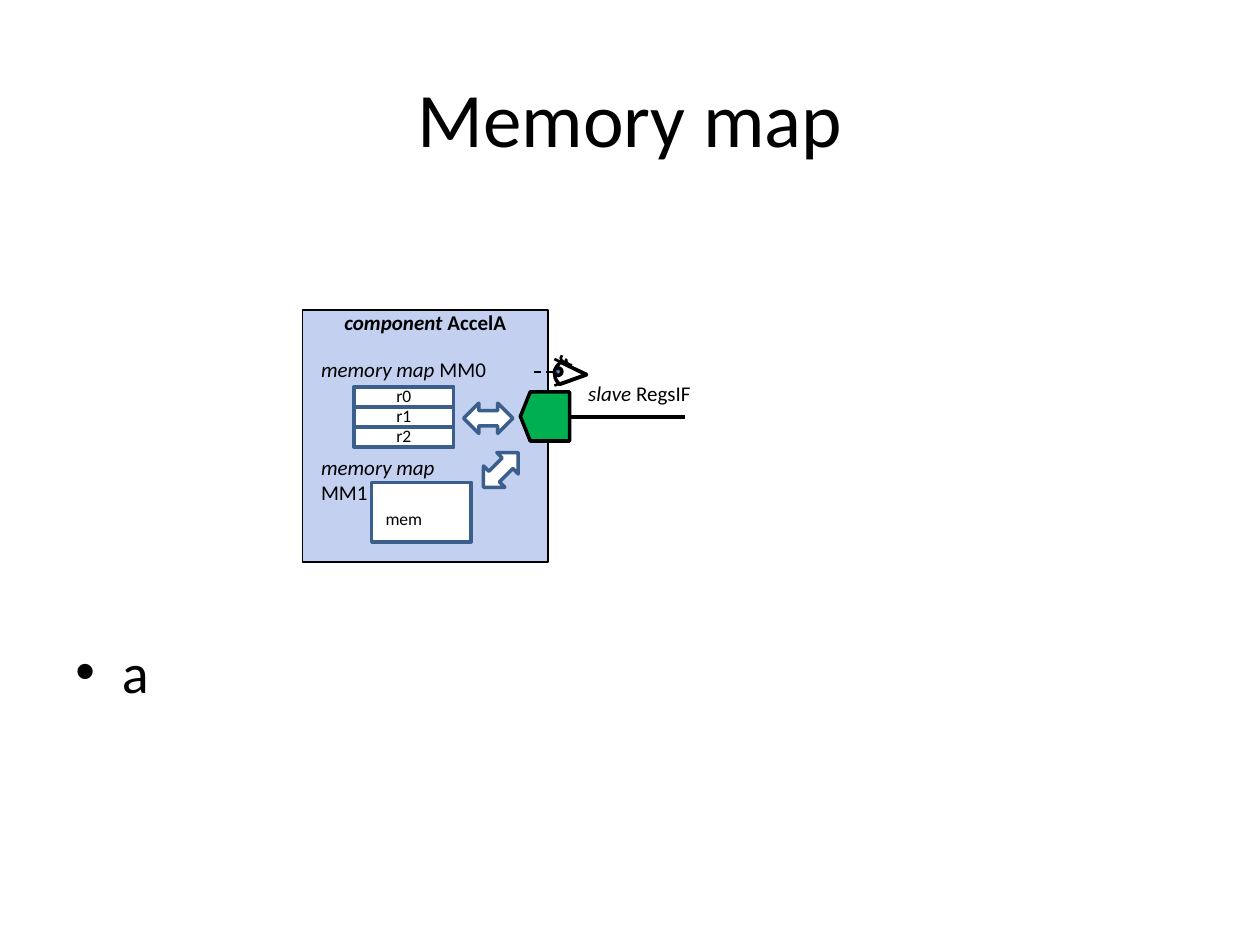
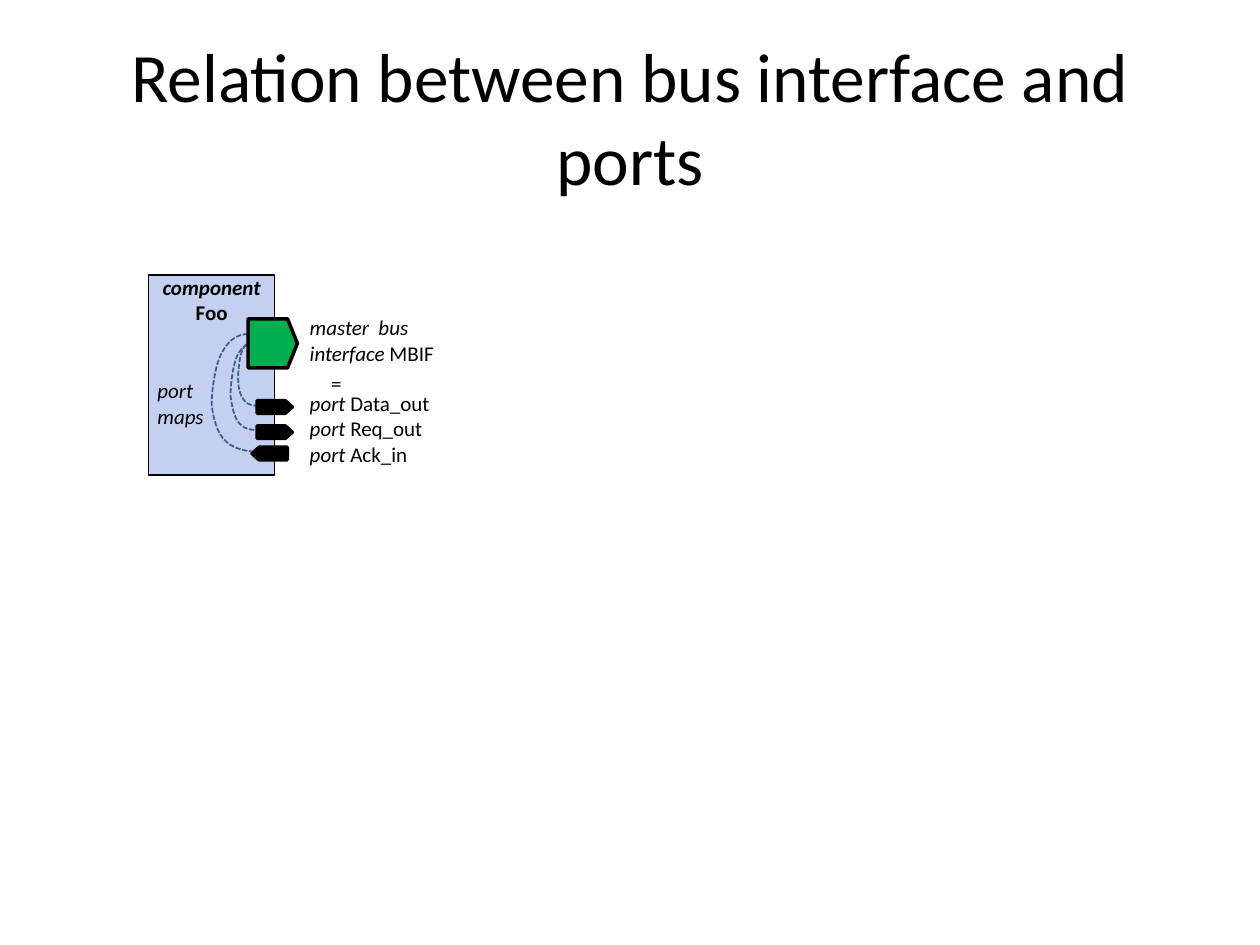
from lxml.etree import SubElement
from pptx import Presentation
from pptx.dml.color import RGBColor
from pptx.enum.dml import MSO_LINE
from pptx.enum.shapes import MSO_CONNECTOR, MSO_SHAPE
from pptx.enum.text import MSO_ANCHOR, PP_ALIGN
from pptx.oxml.ns import qn
from pptx.util import Inches, Pt

BLACK = RGBColor(0x00, 0x00, 0x00)
WHITE = RGBColor(0xFF, 0xFF, 0xFF)
COMPONENT_BLUE = RGBColor(0xC3, 0xD0, 0xF0)
OUTLINE_BLUE = RGBColor(0x3A, 0x5F, 0x8C)
PUPIL_BLUE = RGBColor(0x4F, 0x81, 0xBD)
BUS_GREEN = RGBColor(0x00, 0xB0, 0x50)
FONT = "Calibri"
SLIDE_WIDTH, SLIDE_HEIGHT = 10, 7.5
MARGIN = 0.05 * SLIDE_WIDTH
CONTENT_WIDTH = SLIDE_WIDTH - 2 * MARGIN
TEXT_INSETS = (0.1, 0.05, 0.1, 0.05)
BUS_SIZE = 0.39
PORT_WIDTH, PORT_LENGTH = 0.1, 0.28
POINTS_LEFT, POINTS_RIGHT = 90, 270

# A paragraph is a list of (text, style) runs; "i" is italic, "b" is bold.
REGISTERS = ["r0", "r1", "r2"]
REGISTER_LEFT, REGISTER_TOP = 2.81, 3.07
REGISTER_WIDTH, REGISTER_HEIGHT = 0.79, 0.16
MAP_LABELS = [
    ((2.45, 2.78, 1.54, 0.3), [("memory map", "i"), (" MM0", "")]),
    ((2.45, 3.56, 1.23, 0.51), [("memory map", "i"), (" MM1", "")]),
    ((4.57, 2.97, 1.1, 0.3), [("slave ", "i"), ("RegsIF", "")]),
]
ACCESS_ARROWS = [((3.68, 3.2, 0.39, 0.24), 0), ((3.78, 3.61, 0.39, 0.24), 315)]
EYELIDS = [((4.66, 2.97), (4.4, 2.85)), ((4.65, 2.97), (4.4, 3.06))]
# A curve is a start point followed by control points, three per Bézier segment.
EYELASHES = [
    [(4.49, 2.88), (4.48, 2.88), (4.48, 2.87), (4.47, 2.87),
     (4.46, 2.87), (4.45, 2.85), (4.45, 2.84), (4.46, 2.83), (4.45, 2.84), (4.46, 2.82)],
    [(4.54, 2.9), (4.53, 2.9), (4.52, 2.9), (4.51, 2.89),
     (4.51, 2.89), (4.49, 2.87), (4.49, 2.86), (4.5, 2.85), (4.5, 2.86), (4.5, 2.85)],
]

INTERFACE_LINES = [
    [("master  bus interface", "i"), (" MBIF", "")],
    *[[("port ", "i"), (name, "")] for name in ("Data_out", "Req_out", "Ack_in")],
]
PORTS = [(2.13, 3.09, POINTS_RIGHT), (2.13, 3.29, POINTS_RIGHT), (2.09, 3.46, POINTS_LEFT)]
PORT_MAPS = [
    [(2.07, 3.6), (2.02, 3.57), (1.9, 3.6), (1.79, 3.5), (1.73, 3.45), (1.69, 3.32), (1.68, 3.21),
     (1.68, 3.09), (1.71, 2.89), (1.76, 2.8), (1.81, 2.71), (1.87, 2.65), (1.98, 2.65)],
    [(2.07, 3.43), (2.04, 3.4), (1.96, 3.43), (1.9, 3.36), (1.86, 3.32), (1.84, 3.22), (1.83, 3.14),
     (1.83, 3.05), (1.85, 2.9), (1.88, 2.83), (1.91, 2.77), (1.95, 2.72), (2.01, 2.73)],
    [(2.05, 3.23), (2.03, 3.21), (1.98, 3.23), (1.94, 3.18), (1.91, 3.15), (1.89, 3.08), (1.89, 3.01),
     (1.89, 2.95), (1.9, 2.84), (1.92, 2.79), (1.94, 2.74), (1.97, 2.7), (2.01, 2.71)],
]


def write(shape, paragraphs, size=12, align=PP_ALIGN.LEFT, anchor=MSO_ANCHOR.TOP, insets=TEXT_INSETS):
    frame = shape.text_frame
    frame.word_wrap = True
    frame.vertical_anchor = anchor
    frame.margin_left, frame.margin_top, frame.margin_right, frame.margin_bottom = map(Inches, insets)
    for index, runs in enumerate(paragraphs):
        paragraph = frame.add_paragraph() if index else frame.paragraphs[0]
        paragraph.alignment = align
        for text, style in runs:
            run = paragraph.add_run()
            run.text = text
            run.font.name, run.font.size = FONT, Pt(size)
            run.font.color.rgb = BLACK
            run.font.bold, run.font.italic = "b" in style, "i" in style
    return frame


def add_text(slide, box, paragraphs, **options):
    return write(slide.shapes.add_textbox(*map(Inches, box)), paragraphs, **options)


def add_box(slide, kind, box, fill, line=BLACK, width=2, rotation=0):
    shape = slide.shapes.add_shape(kind, *map(Inches, box))
    shape.shadow.inherit = False
    shape.fill.solid()
    shape.fill.fore_color.rgb = fill
    shape.line.color.rgb = line
    shape.line.width = Pt(width)
    shape.rotation = rotation
    return shape


def add_line(slide, start, end, width, dash=None):
    connector = slide.shapes.add_connector(MSO_CONNECTOR.STRAIGHT, *map(Inches, start + end))
    connector.line.color.rgb = BLACK
    connector.line.width = Pt(width)
    connector.line.dash_style = dash
    SubElement(connector._element.spPr, qn("a:effectLst"))


def add_curve(slide, curve, color, width, dash=None):
    """Draw the control points as a polyline, then turn each three segments into one Bézier."""
    start, *controls = [(Inches(x), Inches(y)) for x, y in curve]
    builder = slide.shapes.build_freeform(*start)
    builder.add_line_segments(controls, close=False)
    shape = builder.convert_to_shape()
    outline = next(shape._element.iter(qn("a:path")))
    segments = outline.findall(qn("a:lnTo"))
    for first in range(0, len(segments), 3):
        bezier = SubElement(outline, qn("a:cubicBezTo"))
        for segment in segments[first:first + 3]:
            bezier.append(segment[0])
            outline.remove(segment)
    shape.shadow.inherit = False
    shape.fill.background()
    shape.line.color.rgb = color
    shape.line.width = Pt(width)
    shape.line.dash_style = dash


def add_titled_slide(presentation, title, size):
    slide = presentation.slides.add_slide(presentation.slide_layouts[6])
    add_text(slide, (MARGIN, 0.04 * SLIDE_HEIGHT, CONTENT_WIDTH, SLIDE_HEIGHT / 6), [[(title, "")]],
             size=size, align=PP_ALIGN.CENTER, anchor=MSO_ANCHOR.MIDDLE)
    return slide


def add_component(slide, box, name):
    component = add_box(slide, MSO_SHAPE.RECTANGLE, box, COMPONENT_BLUE, width=1)
    write(component, [[("component ", "bi"), (name, "b")]], align=PP_ALIGN.CENTER, insets=(0.1, 0, 0.1, 0))


def add_pentagon(slide, box, fill, rotation):
    add_box(slide, MSO_SHAPE.FLOWCHART_OFFPAGE_CONNECTOR, box, fill, rotation=rotation)


def add_storage(slide, box, name, **options):
    """Draw a white register or memory block with its name."""
    block = add_box(slide, MSO_SHAPE.FLOWCHART_PROCESS, box, WHITE, OUTLINE_BLUE)
    write(block, [[(name, "")]], size=10, anchor=MSO_ANCHOR.MIDDLE, **options)


def add_eye(slide):
    add_line(slide, (4.39, 2.95), (4.22, 2.95), 1, MSO_LINE.DASH)
    eyeball = add_box(slide, MSO_SHAPE.PIE, (4.4, 2.82, 0.51, 0.31), WHITE, rotation=3.6)
    eyeball.adjustments[0], eyeball.adjustments[1] = 93.99, 121.47
    add_box(slide, MSO_SHAPE.OVAL, (4.4, 2.92, 0.06, 0.06), PUPIL_BLUE)
    for lash in EYELASHES:
        add_curve(slide, lash, BLACK, 1.5)
    for start, end in EYELIDS:
        add_line(slide, start, end, 1.5)


def add_bullet(slide, text):
    frame = add_text(slide, (MARGIN, 5.01, CONTENT_WIDTH, 1.69), [[(text, "")]], size=32)
    paragraph = frame.paragraphs[0]
    paragraph.space_before = Pt(6.4)
    properties = paragraph._p.get_or_add_pPr()
    properties.set("marL", str(Inches(0.37)))
    properties.set("indent", str(-Inches(0.37)))
    SubElement(properties, qn("a:buFont"), typeface="Arial")
    SubElement(properties, qn("a:buChar"), char="•")


def build_memory_map(presentation):
    slide = add_titled_slide(presentation, "Memory map", 44)
    add_bullet(slide, "a")
    add_component(slide, (2.4, 2.46, 1.95, 2), "AccelA")
    add_pentagon(slide, (4.13, 3.11, BUS_SIZE, BUS_SIZE), BUS_GREEN, POINTS_LEFT)
    add_line(slide, (4.53, 3.31), (5.44, 3.31), 2.25)
    for box, runs in MAP_LABELS:
        add_text(slide, box, [runs])
    for box, rotation in ACCESS_ARROWS:
        add_box(slide, MSO_SHAPE.LEFT_RIGHT_ARROW, box, WHITE, OUTLINE_BLUE, rotation=rotation)
    for row, name in enumerate(REGISTERS):
        top = REGISTER_TOP + row * REGISTER_HEIGHT
        add_storage(slide, (REGISTER_LEFT, top, REGISTER_WIDTH, REGISTER_HEIGHT), name,
                    align=PP_ALIGN.CENTER, insets=(0, 0, 0, 0.02))
    add_storage(slide, (2.95, 3.83, REGISTER_WIDTH, 0.47), "mem", insets=(0.11, 0.1, 0, 0))
    add_eye(slide)


def build_bus_interface(presentation):
    slide = add_titled_slide(presentation, "Relation between bus interface and ports", 39.6)
    add_component(slide, (1.18, 2.18, 1, 1.59), "Foo")
    interface = add_text(slide, (2.36, 2.45, 1.42, 1.31), INTERFACE_LINES)
    interface.paragraphs[1].space_before = Pt(14.5)
    for curve in PORT_MAPS:
        add_curve(slide, curve, OUTLINE_BLUE, 1, MSO_LINE.SQUARE_DOT)
    add_text(slide, (1.25, 2.95, 0.56, 0.5), [[("port maps", "i")]], insets=(0, 0.05, 0, 0.05))
    add_pentagon(slide, (1.97, 2.53, BUS_SIZE, BUS_SIZE), BUS_GREEN, POINTS_RIGHT)
    for left, top, rotation in PORTS:
        add_pentagon(slide, (left, top, PORT_WIDTH, PORT_LENGTH), BLACK, rotation)
    add_text(slide, (2.53, 2.89, 0.54, 0.3), [[("=", "")]])


def main():
    presentation = Presentation()
    presentation.slide_width = Inches(SLIDE_WIDTH)
    presentation.slide_height = Inches(SLIDE_HEIGHT)
    build_memory_map(presentation)
    build_bus_interface(presentation)
    presentation.save("out.pptx")


if __name__ == "__main__":
    main()
